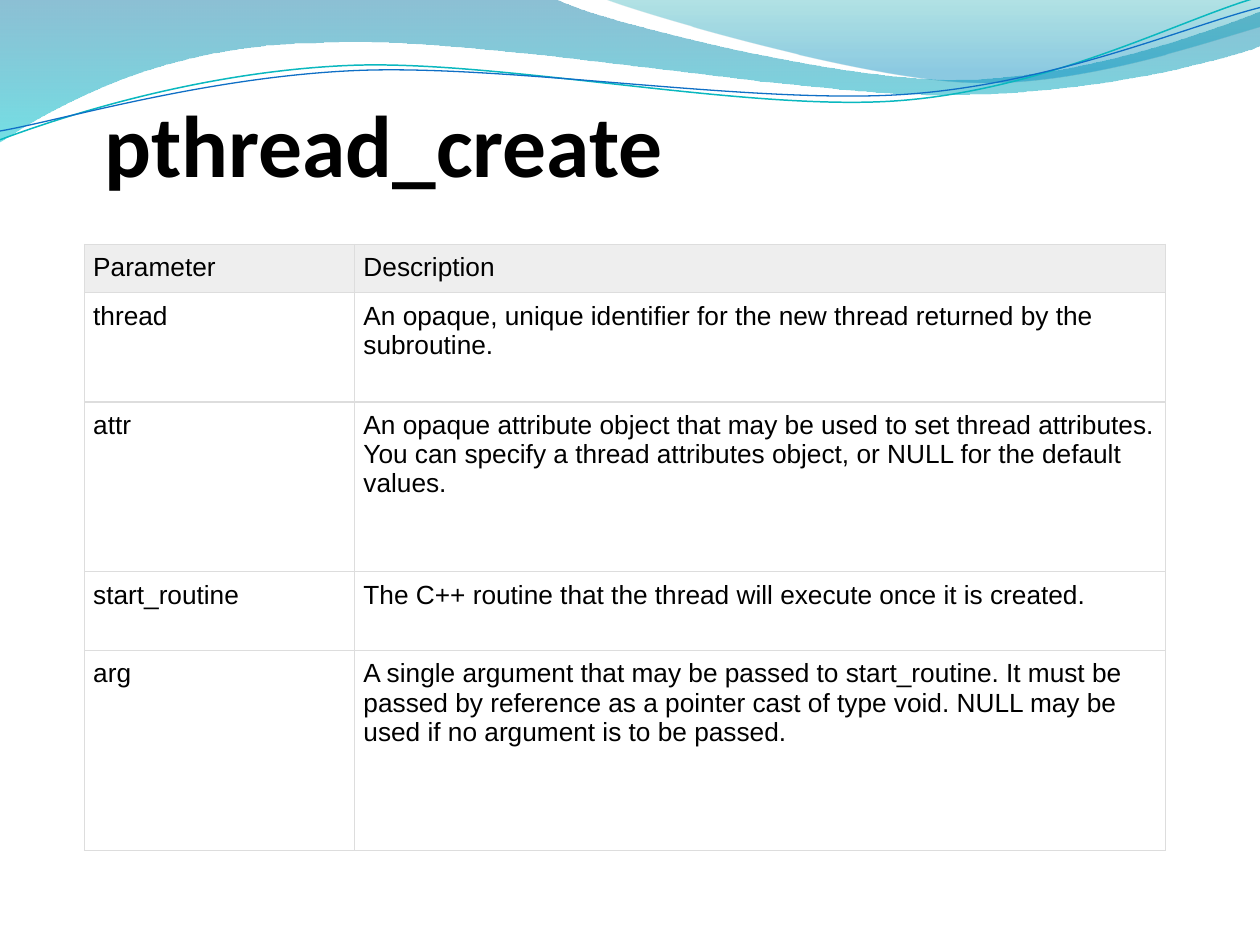
from lxml.etree import SubElement
from pptx import Presentation
from pptx.dml.color import RGBColor
from pptx.enum.text import MSO_ANCHOR, MSO_AUTO_SIZE, PP_ALIGN
from pptx.oxml.ns import qn
from pptx.util import Inches, Pt

# The slide is a grid of 10 columns by 7.5 rows, one inch each.
COLUMNS, ROWS = 10, 7.5
CELL = Inches(1)

BLACK = RGBColor(0x00, 0x00, 0x00)
HEADER_GREY = RGBColor(0xEE, 0xEE, 0xEE)
BORDER_GREY = RGBColor(0xDD, 0xDD, 0xDD)
DEEP_BLUE = RGBColor(0x00, 0x74, 0xA1)
AQUA = RGBColor(0x00, 0xC6, 0xCF)
TEAL = RGBColor(0x00, 0xA1, 0xA9)
SKY_BLUE = RGBColor(0x00, 0x8B, 0xBF)
LINE_TEAL = RGBColor(0x0A, 0xB8, 0xBF)
LINE_BLUE = RGBColor(0x0F, 0x6F, 0xC6)

# A pair is a corner; a triple of pairs is a curve: two control points, one end.
LEFT_WAVE = [
    (0, -0.01), (4.4, -0.01),
    ((4.76, 0.17), (6.64, 0.63), (7.58, 0.63)),
    ((8.53, 0.63), (9.58, 0.26), (10, 0.09)),
    (10.01, 0.36),
    ((9.83, 0.44), (8.7, 0.76), (7.46, 0.75)),
    ((6.22, 0.75), (3.82, 0.28), (2.57, 0.34)),
    ((1.29, 0.35), (0.46, 0.83), (-0.01, 1.13)),
]
RIGHT_WAVE = [
    (4.79, -0.01),
    ((5.09, 0.11), (6.82, 0.62), (7.69, 0.65)),
    ((8.56, 0.69), (9.61, 0.32), (10, 0.21)),
    (10, 0),
]
TEAL_STRAND = [
    (0, 1.11),
    ((0.48, 0.93), (1.58, 0.57), (2.77, 0.52)),
    ((3.95, 0.47), (5.93, 0.89), (7.13, 0.8)),
    ((8.33, 0.71), (9.38, 0.15), (9.98, -0.02)),
]
BLUE_STRAND = [
    (0, 1.04),
    ((0.47, 0.96), (1.64, 0.61), (2.83, 0.56)),
    ((4.03, 0.51), (5.97, 0.83), (7.17, 0.75)),
    ((8.36, 0.67), (9.41, 0.21), (10, 0.06)),
]

PARAMETERS = [
    ("Parameter", "Description"),
    ("thread", "An opaque, unique identifier for the new thread returned by "
     "the subroutine."),
    ("attr", "An opaque attribute object that may be used to set thread "
     "attributes. You can specify a thread attributes object, or NULL for "
     "the default values."),
    ("start_routine", "The C++ routine that the thread will execute once it "
     "is created."),
    ("arg", "A single argument that may be passed to start_routine. It must "
     "be passed by reference as a pointer cast of type void. NULL may be "
     "used if no argument is to be passed."),
]
COLUMN_SHARES = (0.25, 0.75)
ROW_SHARES = (0.08, 0.18, 0.28, 0.13, 0.33)


def write(frame, text, *, size, font, bold=False, color=BLACK):
    frame.word_wrap = True
    paragraph = frame.paragraphs[0]
    paragraph.alignment = PP_ALIGN.LEFT
    run = paragraph.add_run()
    run.text = text
    run.font.size = Pt(size)
    run.font.name = font
    run.font.bold = bold
    run.font.color.rgb = color


def is_curve(part):
    return len(part) == 3


def bend(outline, parts):
    """Turn the three straight segments of each curve into one Bezier curve."""
    segments = iter(outline.element.findall(".//" + qn("a:lnTo")))
    for part in parts:
        first = next(segments)
        if is_curve(part):
            first.tag = qn("a:cubicBezTo")
            for _ in range(2):
                segment = next(segments)
                first.append(segment[0])
                segment.getparent().remove(segment)


def add_outline(slide, parts, box, close):
    left, top = box
    points = []
    for part in parts:
        points.extend(part if is_curve(part) else [part])
    points = [(int((left + x) * CELL), int((top + y) * CELL)) for x, y in points]
    builder = slide.shapes.build_freeform(*points[0])
    builder.add_line_segments(points[1:], close=close)
    outline = builder.convert_to_shape()
    outline.shadow.inherit = False
    bend(outline, parts[1:])
    return outline


def add_wave(slide, parts, box, stops):
    wave = add_outline(slide, parts, box, close=True)
    wave.line.fill.background()
    wave.fill.gradient()
    wave.fill.gradient_angle = 270
    for stop, (position, color, _) in zip(wave.fill.gradient_stops, stops):
        stop.position = position
        stop.color.rgb = color
    colors = wave.element.spPr.findall(".//" + qn("a:srgbClr"))
    for color, (_, _, opacity) in zip(colors, stops):
        SubElement(color, qn("a:alpha"), val=str(opacity * 1000))


def add_strand(slide, parts, box, color, width):
    strand = add_outline(slide, parts, box, close=False)
    strand.fill.background()
    strand.line.color.rgb = color
    strand.line.width = Pt(width)


def add_wave_band(slide, box):
    add_wave(slide, LEFT_WAVE, box, [(0, DEEP_BLUE, 45), (1, AQUA, 55)])
    add_wave(slide, RIGHT_WAVE, box, [(0, TEAL, 30), (0.8, SKY_BLUE, 45)])
    add_strand(slide, TEAL_STRAND, box, LINE_TEAL, 0.85)
    add_strand(slide, BLUE_STRAND, box, LINE_BLUE, 0.75)


def place_title(slide, text, box):
    title = slide.shapes.title
    title.left, title.top, title.width, title.height = (int(n * CELL) for n in box)
    frame = title.text_frame
    frame.auto_size = MSO_AUTO_SIZE.NONE
    frame.vertical_anchor = MSO_ANCHOR.BOTTOM
    frame.margin_left = frame.margin_right = frame.margin_bottom = 0
    frame.margin_top = Inches(0.05)
    write(frame, text, size=50, font="Calibri", bold=True)
    slide.shapes.element.append(title.element)  # in front of the waves


def set_borders(cell):
    properties = cell._tc.get_or_add_tcPr()
    for position, side in enumerate(("a:lnL", "a:lnR", "a:lnT", "a:lnB")):
        border = SubElement(properties, qn(side), w=str(Pt(0.75)))
        fill = SubElement(border, qn("a:solidFill"))
        SubElement(fill, qn("a:srgbClr"), val=str(BORDER_GREY))
        properties.insert(position, border)


def add_parameter_table(slide, box):
    left, top, width, height = (int(n * CELL) for n in box)
    table = slide.shapes.add_table(len(PARAMETERS), len(COLUMN_SHARES),
                                   left, top, width, height).table
    table.first_row = table.horz_banding = False
    for column, share in zip(table.columns, COLUMN_SHARES):
        column.width = int(width * share)
    for row, share in zip(table.rows, ROW_SHARES):
        row.height = int(height * share)
    for row_number, texts in enumerate(PARAMETERS):
        for cell, text in zip(table.rows[row_number].cells, texts):
            cell.margin_left = cell.margin_right = Inches(0.07)
            cell.margin_top = cell.margin_bottom = Inches(0.07)
            cell.vertical_anchor = MSO_ANCHOR.TOP
            if row_number == 0:
                cell.fill.solid()
                cell.fill.fore_color.rgb = HEADER_GREY
            else:
                cell.fill.background()
            set_borders(cell)
            write(cell.text_frame, text, size=15, font="Arial")


def main():
    presentation = Presentation()
    presentation.slide_width = int(COLUMNS * CELL)
    presentation.slide_height = int(ROWS * CELL)
    slide = presentation.slides.add_slide(presentation.slide_layouts[5])
    add_wave_band(slide, (0, 0))
    place_title(slide, "pthread_create", (0.83, 0.3, 8.17, 1.25))
    add_parameter_table(slide, (0.67, 1.94, 8.58, 4.81))
    presentation.save("out.pptx")


if __name__ == "__main__":
    main()
